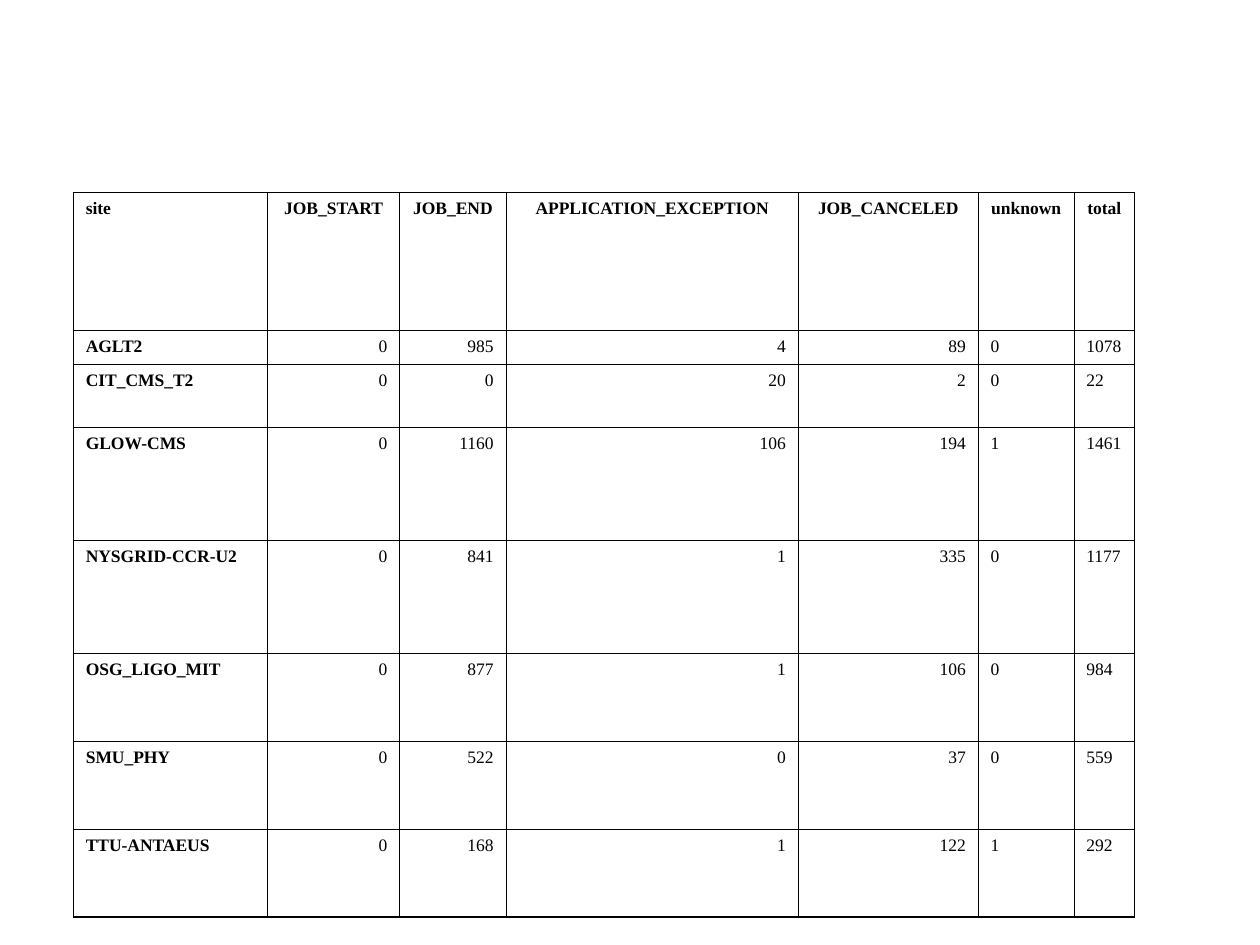
from lxml.etree import SubElement
from pptx import Presentation
from pptx.dml.color import RGBColor
from pptx.enum.text import MSO_ANCHOR, PP_ALIGN as AL
from pptx.oxml.ns import qn
from pptx.util import Cm, Pt

FONT, BLACK = "Times New Roman", "000000"
THIN, THICK = 0.45, 1.08

HEADER = ["site", "JOB_START", "JOB_END", "APPLICATION_EXCEPTION",
          "JOB_CANCELED", "unknown", "total"]
SITES = [
    ["AGLT2", 0, 985, 4, 89, 0, 1078],
    ["CIT_CMS_T2", 0, 0, 20, 2, 0, 22],
    ["GLOW-CMS", 0, 1160, 106, 194, 1, 1461],
    ["NYSGRID-CCR-U2", 0, 841, 1, 335, 0, 1177],
    ["OSG_LIGO_MIT", 0, 877, 1, 106, 0, 984],
    ["SMU_PHY", 0, 522, 0, 37, 0, 559],
    ["TTU-ANTAEUS", 0, 168, 1, 122, 1, 292],
]
COL_WIDTHS = [3.91, 2.67, 2.14, 5.89, 3.63, 1.93, 1.22]
ROW_HEIGHTS = [2.79, 0.69, 1.27, 2.29, 2.29, 1.78, 1.78, 1.78]


def rgb(color):
    return RGBColor.from_string(color)


def write(tf, text, size=10, bold=False, color=BLACK, align=AL.LEFT):
    p = tf.paragraphs[0]
    p.alignment = align
    r = p.add_run()
    r.text = text
    r.font.name, r.font.size, r.font.bold = FONT, Pt(size), bold
    r.font.color.rgb = rgb(color)


def set_borders(cell, color=BLACK, **widths):
    """Draw the cell's borders; widths in points by side, in the order L, R, T, B."""
    tc_pr = cell._tc.get_or_add_tcPr()
    for side, width in widths.items():
        ln = SubElement(tc_pr, qn(f"a:ln{side}"), w=str(int(Pt(width))))
        fill = SubElement(ln, qn("a:solidFill"))
        SubElement(fill, qn("a:srgbClr"), val=color)


def cell_align(row, col):
    if col == 0:
        return AL.LEFT
    if row == 0:
        return AL.CENTER
    return AL.RIGHT if col < 5 else AL.LEFT


def add_job_table(s, left, top, width, height):
    data = [HEADER] + SITES
    last_row, last_col = len(data) - 1, len(HEADER) - 1
    table = s.shapes.add_table(len(data), len(HEADER), Cm(left), Cm(top),
                               Cm(width), Cm(height)).table
    table.horz_banding = False

    # Columns and rows share the box in fixed proportions
    for column, w in zip(table.columns, COL_WIDTHS):
        column.width = Cm(width * w / sum(COL_WIDTHS))
    for row, h in zip(table.rows, ROW_HEIGHTS):
        row.height = Cm(height * h / sum(ROW_HEIGHTS))

    # Header row and site names are bold; the outer frame is thicker
    for i, values in enumerate(data):
        for j, value in enumerate(values):
            cell = table.cell(i, j)
            cell.margin_left = cell.margin_right = Cm(0.25)
            cell.margin_top = cell.margin_bottom = Cm(0.13)
            cell.vertical_anchor = MSO_ANCHOR.TOP
            write(cell.text_frame, str(value), bold=i == 0 or j == 0,
                  align=cell_align(i, j))
            set_borders(cell,
                        L=THICK if j == 0 else THIN,
                        R=THICK if j == last_col else THIN,
                        T=THICK if i == 0 else THIN,
                        B=THICK if i == last_row else THIN)
            cell.fill.background()


def main():
    prs = Presentation()
    prs.slide_width, prs.slide_height = Cm(25.4), Cm(19.05)
    s = prs.slides.add_slide(prs.slide_layouts[6])
    add_job_table(s, left=1.48, top=3.88, width=21.39, height=14.61)
    prs.save("out.pptx")


if __name__ == "__main__":
    main()
